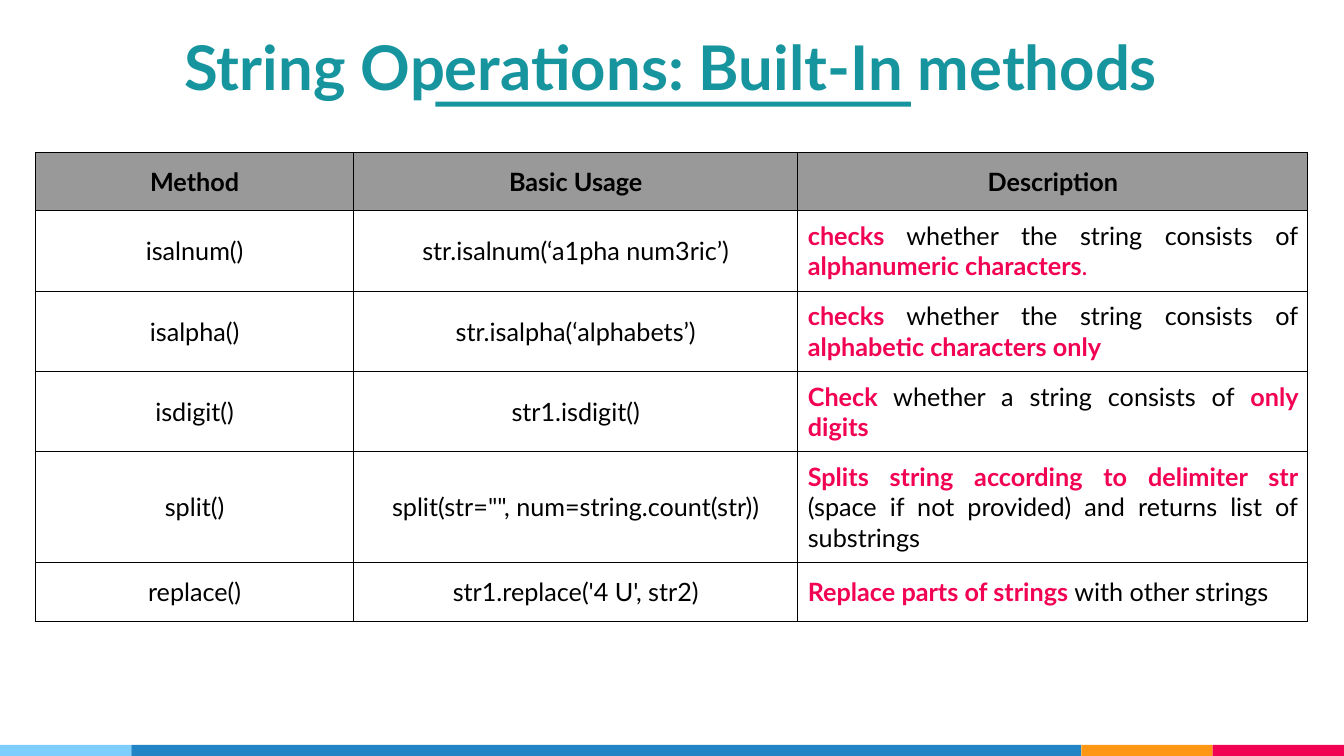
from dataclasses import dataclass

from lxml.etree import SubElement
from pptx import Presentation
from pptx.dml.color import RGBColor as Color
from pptx.enum.shapes import MSO_SHAPE as Shape
from pptx.enum.text import MSO_ANCHOR as Anchor, PP_ALIGN as Align
from pptx.oxml.ns import qn
from pptx.util import Cm, Pt


@dataclass(frozen=True)
class Theme:
    font: str = "Lato"
    title_size: int = 44
    table_size: int = 18
    border_width: float = 0.75
    teal: str = "17959F"
    pink: str = "F20253"
    orange: str = "FF9715"
    sky: str = "7ECEFD"
    blue: str = "2185C5"
    header: str = "999999"
    white: str = "FFFFFF"
    black: str = "000000"


class SlideBuilder:
    def __init__(self, slide, theme):
        self.slide = slide
        self.theme = theme

    def style_font(self, font, size, color, bold=False):
        font.name = self.theme.font
        font.size = Pt(size)
        font.bold = bold
        font.color.rgb = Color.from_string(color)

    def bar(self, left, top, width, height, color):
        shape = self.slide.shapes.add_shape(Shape.RECTANGLE, Cm(left), Cm(top), Cm(width), Cm(height))
        shape.shadow.inherit = False
        shape.fill.solid()
        shape.fill.fore_color.rgb = Color.from_string(color)
        shape.line.fill.background()

    def title(self, text, left, top, width, height):
        frame = self.slide.shapes.add_textbox(Cm(left), Cm(top), Cm(width), Cm(height)).text_frame
        frame.word_wrap = True
        frame.margin_left = frame.margin_right = Cm(0.13)
        frame.margin_top = frame.margin_bottom = Cm(0.06)
        paragraph = frame.paragraphs[0]
        paragraph.text = text
        paragraph.alignment = Align.CENTER
        self.style_font(paragraph.font, self.theme.title_size, self.theme.teal, True)

    def border(self, cell):
        properties = cell._tc.get_or_add_tcPr()
        for side in ("lnL", "lnR", "lnT", "lnB"):
            line = SubElement(properties, qn(f"a:{side}"), w=str(Pt(self.theme.border_width)))
            fill = SubElement(line, qn("a:solidFill"))
            SubElement(fill, qn("a:srgbClr"), val=self.theme.black)

    def cell(self, cell, content, fill, alignment, bold):
        self.border(cell)
        cell.fill.solid()
        cell.fill.fore_color.rgb = Color.from_string(fill)
        cell.vertical_anchor = Anchor.MIDDLE
        cell.margin_left = cell.margin_right = Cm(0.25)
        cell.margin_top = cell.margin_bottom = Cm(0.25)
        paragraph = cell.text_frame.paragraphs[0]
        paragraph.alignment = alignment
        if isinstance(content, str):
            paragraph.text = content
            self.style_font(paragraph.font, self.theme.table_size, self.theme.black, bold)
            return
        for text, color, emphasis in content:
            run = paragraph.add_run()
            run.text = text
            self.style_font(run.font, self.theme.table_size, color, emphasis)

    def table(self, rows, left, top, widths, row_height):
        table = self.slide.shapes.add_table(
            len(rows), len(widths), Cm(left), Cm(top), Cm(sum(widths)), Cm(row_height * len(rows))
        ).table
        table.horz_banding = False
        for column, width in zip(table.columns, widths):
            column.width = Cm(width)
        for row_index, row in enumerate(rows):
            is_header = row_index == 0
            fill = self.theme.header if is_header else self.theme.white
            for column_index, content in enumerate(row):
                alignment = Align.CENTER if isinstance(content, str) else Align.JUSTIFY
                self.cell(table.cell(row_index, column_index), content, fill, alignment, is_header)


def main():
    theme = Theme()
    presentation = Presentation()
    presentation.slide_width = Cm(33.87)
    presentation.slide_height = Cm(19.05)
    slide = presentation.slides.add_slide(presentation.slide_layouts[6])
    builder = SlideBuilder(slide, theme)

    left = 0
    for width, color in ((3.31, theme.sky), (23.94, theme.blue), (3.31, theme.orange), (3.31, theme.pink)):
        builder.bar(left, 18.77, width, 0.28, color)
        left += width

    builder.title("String Operations: Built-In methods", 2.38, 0.66, 29.08, 2)
    builder.bar(10.97, 2.56, 11.99, 0.13, theme.teal)

    def key(text):
        return text, theme.pink, True

    def plain(text):
        return text, theme.black, False

    consists = plain(" whether the string consists of ")
    rows = [
        ("Method", "Basic Usage", "Description"),
        ("isalnum()", "str.isalnum(‘a1pha num3ric’)",
         [key("checks"), consists, key("alphanumeric characters"), (".", theme.pink, False)]),
        ("isalpha()", "str.isalpha(‘alphabets’)",
         [key("checks"), consists, key("alphabetic characters only")]),
        ("isdigit()", "str1.isdigit()",
         [key("Check"), plain(" whether a string consists of "), key("only digits")]),
        ("split()", 'split(str="", num=string.count(str))',
         [key("Splits string according to delimiter str "),
          plain("(space if not provided) and returns list of substrings")]),
        ("replace()", "str1.replace('4 U', str2)",
         [key("Replace parts of strings "), plain("with other strings")]),
    ]
    builder.table(rows, 0.9, 3.83, (8.01, 11.2, 12.85), 1.48)
    presentation.save("out.pptx")


if __name__ == "__main__":
    main()
